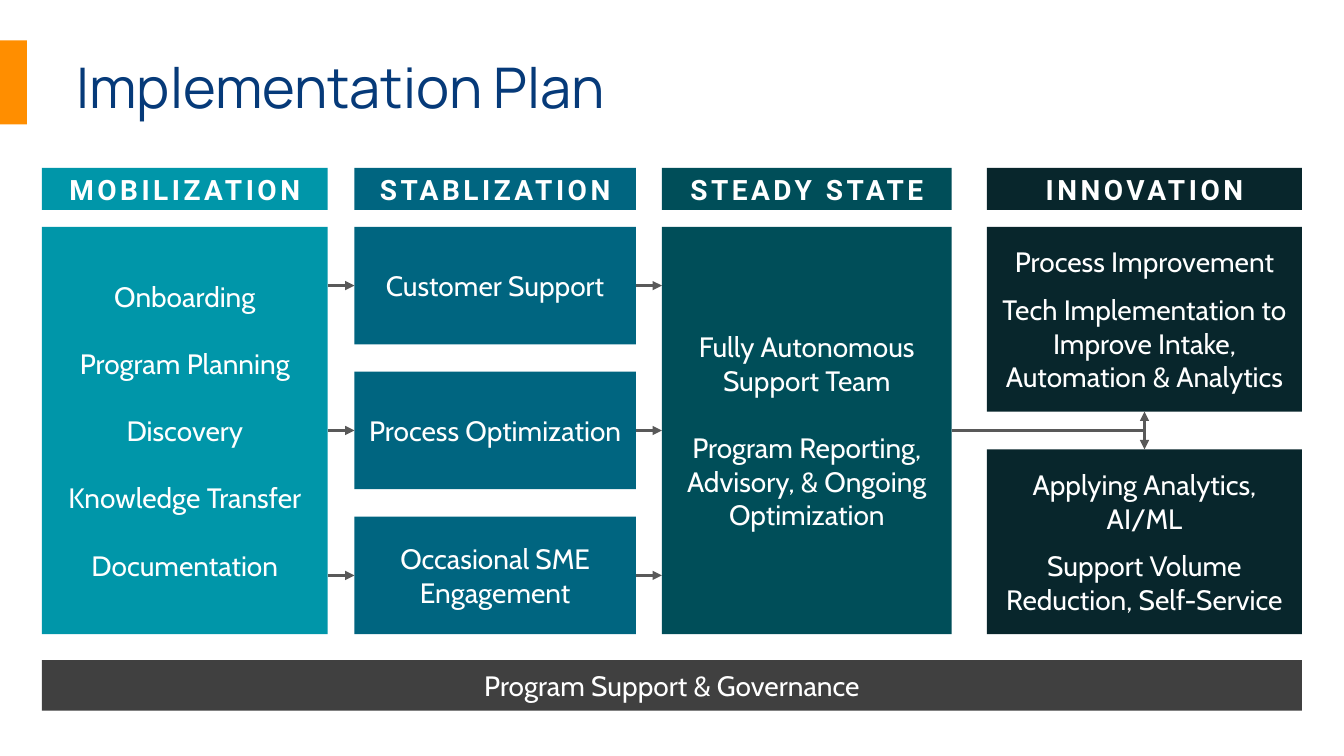
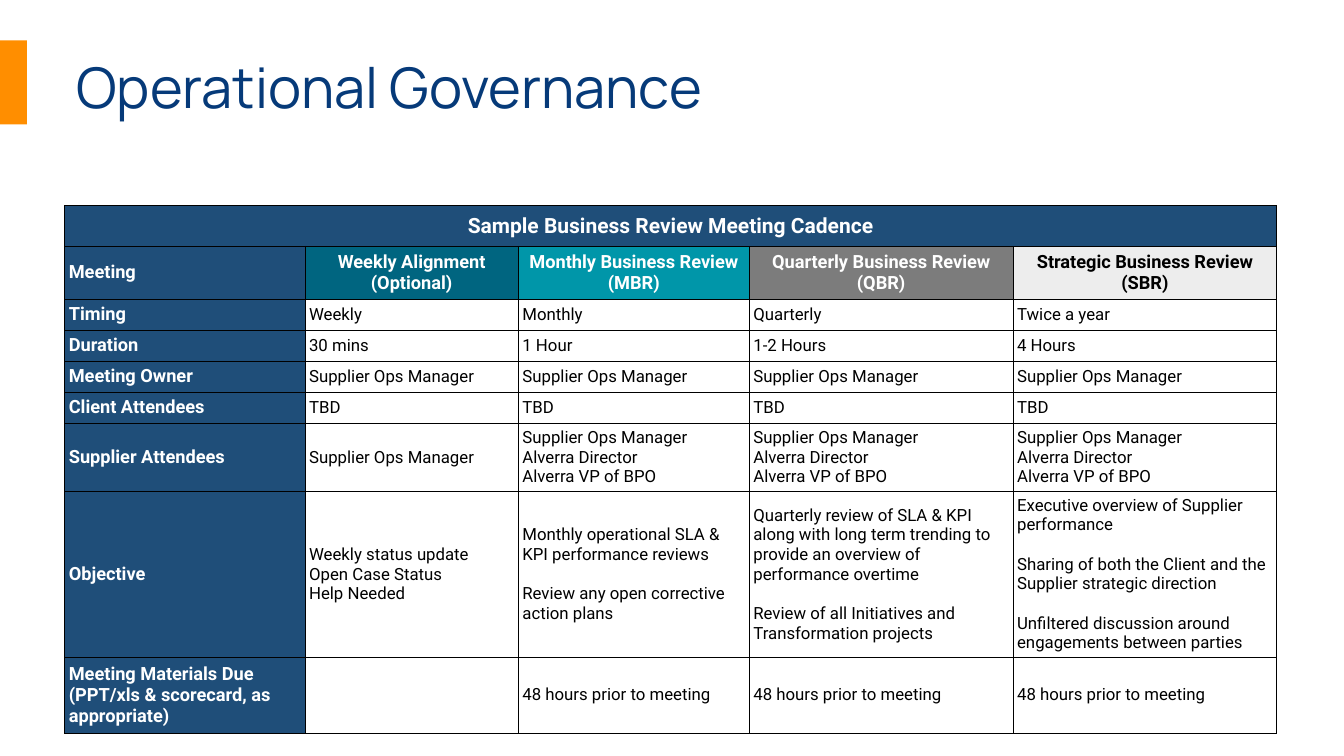
from lxml.etree import SubElement
from pptx import Presentation
from pptx.dml.color import RGBColor
from pptx.enum.shapes import MSO_CONNECTOR, MSO_SHAPE
from pptx.enum.text import MSO_ANCHOR, MSO_AUTO_SIZE, PP_ALIGN
from pptx.oxml.ns import qn
from pptx.util import Inches, Pt

RECT = MSO_SHAPE.RECTANGLE
STRAIGHT = MSO_CONNECTOR.STRAIGHT
MIDDLE, BOTTOM = MSO_ANCHOR.MIDDLE, MSO_ANCHOR.BOTTOM
FIXED = MSO_AUTO_SIZE.NONE
LEFT, CENTER = PP_ALIGN.LEFT, PP_ALIGN.CENTER

WHITE = RGBColor(0xFF, 0xFF, 0xFF)
BLACK = RGBColor(0x00, 0x00, 0x00)
NAVY = RGBColor(0x06, 0x3A, 0x79)
ORANGE = RGBColor(0xFF, 0x8E, 0x00)
AQUA = RGBColor(0x00, 0x96, 0xA9)
TEAL = RGBColor(0x00, 0x65, 0x80)
PINE = RGBColor(0x00, 0x4E, 0x59)
INK = RGBColor(0x08, 0x26, 0x2C)
BLUE = RGBColor(0x1F, 0x4E, 0x79)
COAL = RGBColor(0x40, 0x40, 0x40)
SLATE = RGBColor(0x59, 0x59, 0x59)
GRAY = RGBColor(0x7C, 0x7C, 0x7C)
PALE = RGBColor(0xED, 0xED, 0xED)

COLS, ROWS = 160, 90
WIDTH, HEIGHT = Inches(13.33), Inches(7.5)
TOP, TALL = 27, 48.5


def across(cols):
    return round(WIDTH * cols / COLS)


def down(rows):
    return round(HEIGHT * rows / ROWS)


def place(left, top, width, height):
    return across(left), down(top), across(width), down(height)


def pad(box, side, edge, anchor=MIDDLE):
    box.margin_left = box.margin_right = across(side)
    box.margin_top = box.margin_bottom = down(edge)
    box.vertical_anchor = anchor


def write(frame, text, font="Cabin", size=20, color=WHITE, bold=False,
          align=CENTER, gap=0, track=0, lead=None):
    frame.word_wrap = True
    for i, line in enumerate(text.split("\n")):
        para = frame.add_paragraph() if i else frame.paragraphs[0]
        para.alignment = align
        para.space_before = Pt(gap if i else 0)
        if lead:
            para.line_spacing = lead
        run = para.add_run()
        run.text = line
        run.font.name = font
        run.font.size = Pt(size)
        run.font.bold = bold
        run.font.color.rgb = color
        if track:
            run.font._element.set("spc", str(int(track * 100)))


class Deck:
    def __init__(self):
        self.show = Presentation()
        self.show.slide_width, self.show.slide_height = WIDTH, HEIGHT
        self.slide = None

    def page(self, title):
        self.slide = self.show.slides.add_slide(self.show.slide_layouts[5])
        head = self.slide.shapes.title
        head.left, head.top, head.width, head.height = place(7.9, 5, 137.6, 10)
        frame = head.text_frame
        frame.auto_size = FIXED
        pad(frame, 1.2, 0.6, BOTTOM)
        write(frame, title, font="Manrope", size=40, color=NAVY, align=LEFT, lead=0.9)
        self.box((0, 4.8, 3.2, 10), ORANGE)

    def box(self, area, fill, text="", **style):
        shape = self.slide.shapes.add_shape(RECT, *place(*area))
        shape.shadow.inherit = False
        shape.fill.solid()
        shape.fill.fore_color.rgb = fill
        shape.line.fill.background()
        if text:
            pad(shape.text_frame, 1, 1)
            write(shape.text_frame, text, **style)
        return shape

    def stack(self, left, width, height, fill, texts, **style):
        step = (TALL - height) / (len(texts) - 1)
        return [self.box((left, TOP + i * step, width, height), fill, text, **style)
                for i, text in enumerate(texts)]

    def link(self, start, end, source=None, target=None, heads=("tailEnd",)):
        ends = across(start[0]), down(start[1]), across(end[0]), down(end[1])
        line = self.slide.shapes.add_connector(STRAIGHT, *ends)
        if source:
            line.begin_connect(*source)
        if target:
            line.end_connect(*target)
        line.line.color.rgb = SLATE
        line.line.width = Pt(2.25)
        props = line._element.spPr
        for head in heads:
            SubElement(props.get_or_add_ln(), qn("a:" + head), type="triangle")
        SubElement(props, qn("a:effectLst"))

    def table(self, left, top, widths, heights):
        area = place(left, top, sum(widths), sum(heights))
        grid = self.slide.shapes.add_table(len(heights), len(widths), *area).table
        grid.first_row = grid.horz_banding = False
        for col, width in zip(grid.columns, widths):
            col.width = across(width)
        for row, height in zip(grid.rows, heights):
            row.height = down(height)
        return grid

    def cell(self, cell, text, fill=WHITE, **style):
        props = cell._tc.get_or_add_tcPr()
        for side in ("lnL", "lnR", "lnT", "lnB"):
            edge = SubElement(props, qn("a:" + side), w=str(Pt(0.5)))
            solid = SubElement(edge, qn("a:solidFill"))
            SubElement(solid, qn("a:srgbClr"), val=str(BLACK))
        cell.fill.solid()
        cell.fill.fore_color.rgb = fill
        pad(cell, 0.5, 0.5)
        if text:
            write(cell.text_frame, text, font="Roboto", **style)


def plan(deck):
    deck.page("Implementation Plan")
    stages = [
        ("MOBILIZATION", 5, 34, AQUA),
        ("STABLIZATION", 42.2, 33.5, TEAL),
        ("STEADY STATE", 78.8, 34.5, PINE),
        ("INNOVATION", 117.5, 37.5, INK),
    ]
    for name, left, width, fill in stages:
        deck.box((left, 20, width, 5), fill, name, font="Roboto", bold=True, track=2.5)
    first, second, third, fourth = [stage[1:] for stage in stages]

    start = deck.box((first[0], TOP, first[1], TALL), first[2],
                     "Onboarding\nProgram Planning\nDiscovery\n"
                     "Knowledge Transfer\nDocumentation", gap=24)
    tasks = deck.stack(second[0], second[1], 14, second[2],
                       ["Customer Support", "Process Optimization",
                        "Occasional SME Engagement"])
    steady = deck.box((third[0], TOP, third[1], TALL), third[2],
                      "Fully Autonomous Support Team\n"
                      "Program Reporting, Advisory, & Ongoing Optimization", gap=24)
    goals = deck.stack(fourth[0], fourth[1], 22, fourth[2],
                       ["Process Improvement\n"
                        "Tech Implementation to Improve Intake, Automation & Analytics",
                        "Applying Analytics, AI/ML\n"
                        "Support Volume Reduction, Self-Service"], gap=10)
    deck.box((5, 78.6, 150, 6), COAL, "Program Support & Governance")

    mid = TOP + TALL / 2
    for i, task in enumerate(tasks):
        level = mid + (i - 1) * (TALL - 14) / 2
        center = i == 1
        deck.link((sum(first[:2]), level), (second[0], level),
                  (start, 3) if center else None, (task, 1))
        deck.link((sum(second[:2]), level), (third[0], level),
                  (task, 3), (steady, 1) if center else None)
    hub = fourth[0] + fourth[1] / 2
    deck.link((sum(third[:2]), mid), (hub, mid), (steady, 3), heads=())
    deck.link((hub, TOP + 22), (hub, TOP + TALL - 22), (goals[0], 2), (goals[1], 0),
              heads=("headEnd", "tailEnd"))


def review(deck):
    deck.page("Operational Governance")
    owner = "Supplier Ops Manager"
    team = owner + "\nAlverra Director\nAlverra VP of BPO"
    due = "48 hours prior to meeting"
    heads = [
        ("Meeting", BLUE, WHITE),
        ("Weekly Alignment (Optional)", TEAL, WHITE),
        ("Monthly Business Review (MBR)", AQUA, WHITE),
        ("Quarterly Business Review (QBR)", GRAY, WHITE),
        ("Strategic Business Review (SBR)", PALE, BLACK),
    ]
    body = [
        ("Timing", "Weekly", "Monthly", "Quarterly", "Twice a year"),
        ("Duration", "30 mins", "1 Hour", "1-2 Hours", "4 Hours"),
        ("Meeting Owner", owner, owner, owner, owner),
        ("Client Attendees", "TBD", "TBD", "TBD", "TBD"),
        ("Supplier Attendees", owner, team, team, team),
        ("Objective",
         "Weekly status update\nOpen Case Status\nHelp Needed",
         "Monthly operational SLA & KPI performance reviews\n"
         "Review any open corrective action plans",
         "Quarterly review of SLA & KPI along with long term trending to "
         "provide an overview of performance overtime\n"
         "Review of all Initiatives and Transformation projects",
         "Executive overview of Supplier performance\n"
         "Sharing of both the Client and the Supplier strategic direction\n"
         "Unfiltered discussion around engagements between parties"),
        ("Meeting Materials Due (PPT/xls & scorecard, as appropriate)",
         "", due, due, due),
    ]
    grid = deck.table(7.7, 24.5, [28.6, 25.4, 27.5, 31.4, 31.4],
                      [4.8, 6.3] + [3.7] * 4 + [8.1, 19.75, 9])
    for i, (text, fill, color) in enumerate(heads):
        banner = "" if i else "Sample Business Review Meeting Cadence"
        deck.cell(grid.cell(0, i), banner, BLUE, size=15, bold=True)
        deck.cell(grid.cell(1, i), text, fill, size=13, color=color, bold=True,
                  align=CENTER if i else LEFT)
    grid.cell(0, 0).merge(grid.cell(0, 4))
    for r, (label, *texts) in enumerate(body, 2):
        deck.cell(grid.cell(r, 0), label, BLUE, size=13, bold=True, align=LEFT)
        for c, text in enumerate(texts, 1):
            spaced = label == "Objective" and c > 1
            deck.cell(grid.cell(r, c), text, size=12, color=BLACK, align=LEFT,
                      gap=14 if spaced else 0)


def main():
    deck = Deck()
    plan(deck)
    review(deck)
    deck.show.save("out.pptx")


if __name__ == "__main__":
    main()
